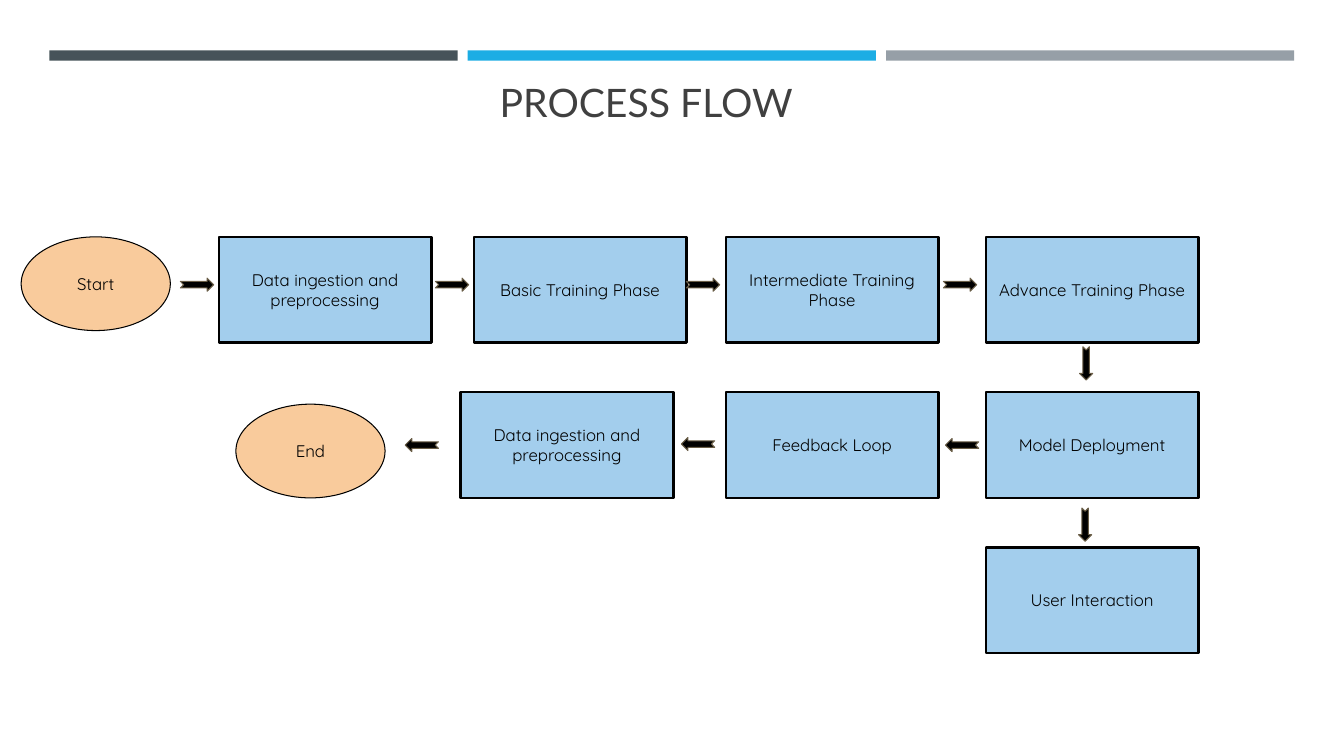
from dataclasses import dataclass

from pptx import Presentation
from pptx.dml.color import RGBColor
from pptx.enum.shapes import MSO_SHAPE
from pptx.enum.text import MSO_ANCHOR, PP_ALIGN
from pptx.util import Pt

RECTANGLE = MSO_SHAPE.RECTANGLE
OVAL = MSO_SHAPE.OVAL
ARROW = MSO_SHAPE.NOTCHED_RIGHT_ARROW
LEFT, CENTER = PP_ALIGN.LEFT, PP_ALIGN.CENTER
MIDDLE, BOTTOM = MSO_ANCHOR.MIDDLE, MSO_ANCHOR.BOTTOM

BLACK = "000000"
RIGHTWARD, DOWNWARD, LEFTWARD = 0, 90, 180

# Flow grid, in points
ROWS = [169.2 + 110.88 * row for row in range(3)]
THIRD_COLUMN, LAST_COLUMN = 518.4, 704.16


@dataclass(frozen=True)
class Style:
    kind: MSO_SHAPE
    width: float
    height: float
    fill: str
    line: str | None = None
    line_width: float = 0


@dataclass(frozen=True)
class Step:
    text: str
    left: float
    top: float
    style: Style


@dataclass(frozen=True)
class Arrow:
    left: float
    top: float
    rotation: int


PROCESS = Style(RECTANGLE, 151.92, 75.6, "A3CEED", BLACK, 1.75)
TERMINAL = Style(OVAL, 106.56, 66.96, "F9CB9C", BLACK, 0.75)
POINTER = Style(ARROW, 23.76, 9.36, BLACK, "695D46", 0.75)

STEPS = [
    Step("Start", 15.12, ROWS[0], TERMINAL),
    Step("Data ingestion and preprocessing", 156.24, ROWS[0], PROCESS),
    Step("Basic Training Phase", 338.4, ROWS[0], PROCESS),
    Step("Intermediate Training Phase", THIRD_COLUMN, ROWS[0], PROCESS),
    Step("Advance Training Phase", LAST_COLUMN, ROWS[0], PROCESS),
    Step("Model Deployment", LAST_COLUMN, ROWS[1], PROCESS),
    Step("User Interaction", LAST_COLUMN, ROWS[2], PROCESS),
    Step("Feedback Loop", THIRD_COLUMN, ROWS[1], PROCESS),
    Step("Data ingestion and preprocessing", 329.04, ROWS[1], PROCESS),
    Step("End", 168.48, 288.72, TERMINAL),
]

ARROWS = [
    *(Arrow(left, 198.72, RIGHTWARD) for left in (128.88, 311.04, 490.32, 673.92)),
    Arrow(763.92, 254.88, DOWNWARD),
    Arrow(763.2, 370.08, DOWNWARD),
    Arrow(675.36, 313.2, LEFTWARD),
    Arrow(486.72, 312.48, LEFTWARD),
    Arrow(289.44, 313.2, LEFTWARD),
]


def color(value: str) -> RGBColor:
    return RGBColor.from_string(value)


def write_text(shape, text: str, *, font: str = "Quicksand", size: float = 12,
               text_color: str = BLACK, align=CENTER, anchor=MIDDLE) -> None:
    frame = shape.text_frame
    frame.word_wrap = True
    frame.vertical_anchor = anchor
    paragraph = frame.paragraphs[0]
    paragraph.alignment = align
    run = paragraph.add_run()
    run.text = text
    run.font.name = font
    run.font.size = Pt(size)
    run.font.color.rgb = color(text_color)


def draw_shape(slide, left: float, top: float, style: Style, rotation: int = 0):
    shape = slide.shapes.add_shape(
        style.kind, Pt(left), Pt(top), Pt(style.width), Pt(style.height))
    shape.shadow.inherit = False
    shape.rotation = rotation
    shape.fill.solid()
    shape.fill.fore_color.rgb = color(style.fill)
    if style.line:
        shape.line.color.rgb = color(style.line)
        shape.line.width = Pt(style.line_width)
    else:
        shape.line.fill.background()
    return shape


def draw_step(slide, step: Step) -> None:
    shape = draw_shape(slide, step.left, step.top, step.style)
    if step.style is TERMINAL:
        frame = shape.text_frame
        frame.margin_top = frame.margin_bottom = Pt(7.2)
    write_text(shape, step.text)


def main() -> None:
    presentation = Presentation()
    presentation.slide_width = Pt(960)
    presentation.slide_height = Pt(540)
    slide = presentation.slides.add_slide(presentation.slide_layouts[6])

    # Header bars
    for index, fill in enumerate(("465359", "1CADE4", "969FA7")):
        draw_shape(slide, 35.28 + 298.8 * index, 36, Style(RECTANGLE, 291.6, 7.4, fill))

    # Title
    title = slide.shapes.add_textbox(Pt(349.92), Pt(48.96), Pt(309.6), Pt(43.92))
    write_text(title, "PROCESS FLOW", font="Lato", size=28, text_color="404040",
               align=LEFT, anchor=BOTTOM)

    # Process steps
    for step in STEPS:
        draw_step(slide, step)

    # Arrows between steps
    for arrow in ARROWS:
        draw_shape(slide, arrow.left, arrow.top, POINTER, arrow.rotation)

    presentation.save("out.pptx")


if __name__ == "__main__":
    main()
